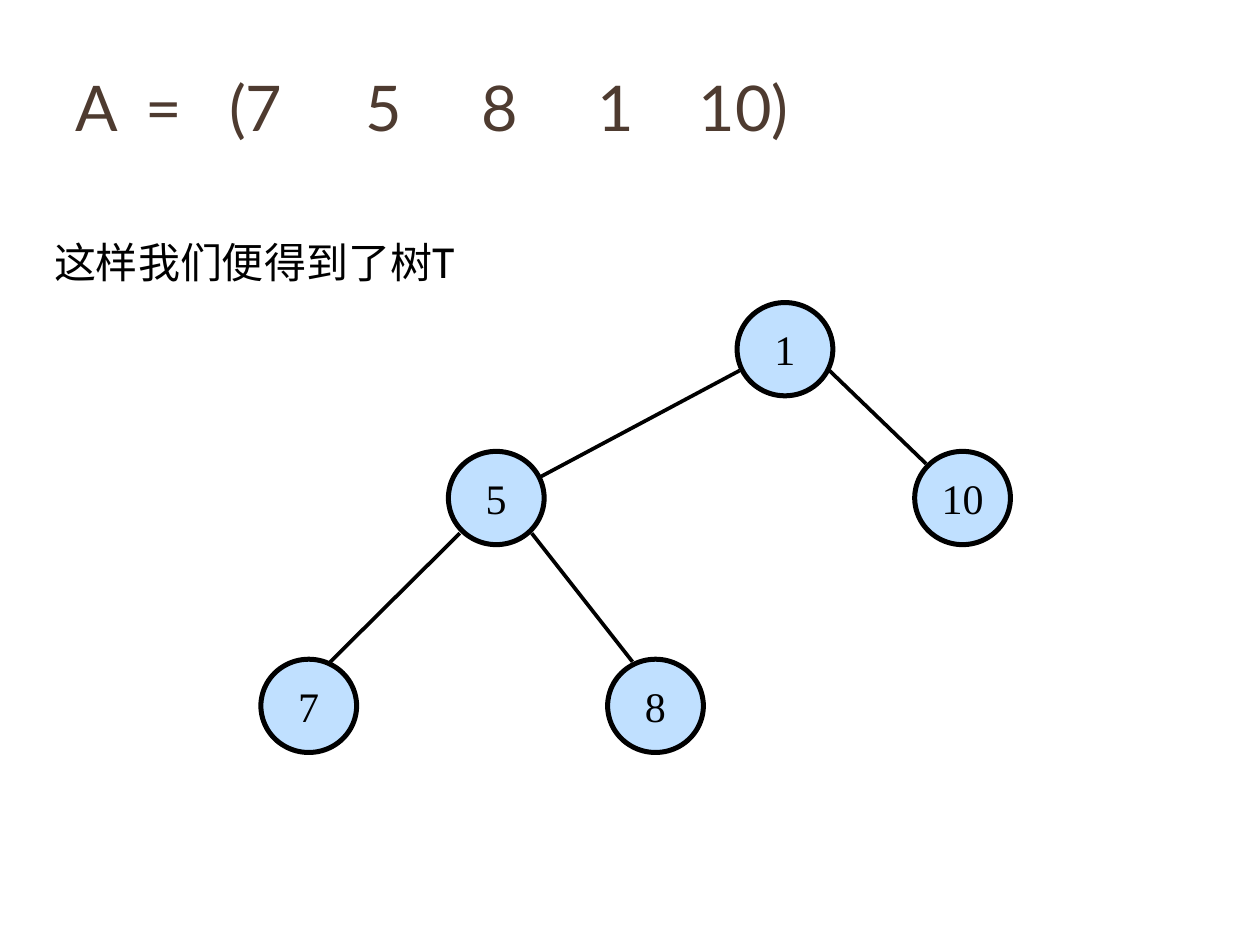
from lxml import etree
from pptx import Presentation
from pptx.dml.color import RGBColor
from pptx.enum.shapes import MSO_CONNECTOR, MSO_SHAPE
from pptx.enum.text import MSO_ANCHOR, PP_ALIGN
from pptx.oxml.ns import qn
from pptx.util import Cm, Pt

ELLIPSE = MSO_SHAPE.OVAL
STRAIGHT = MSO_CONNECTOR.STRAIGHT
MIDDLE, TOP = MSO_ANCHOR.MIDDLE, MSO_ANCHOR.TOP
CENTER = PP_ALIGN.CENTER

COLORS = {"title": "4E3B30", "ink": "000000", "node": "C0E0FF"}
FORMATS = {
    "title": {"name": "Lato", "size": Pt(36)},
    "caption": {"name": "Cabin", "size": Pt(24)},
    "node": {"name": "Times New Roman", "size": Pt(24)},
}
NODE_W, NODE_H = 1.93, 1.88
NODES = {
    "1": (9.6, 0),
    "10": (13.18, 3),
    "5": (3.78, 3),
    "7": (0, 7.19),
    "8": (6.99, 7.19),
}
EDGES = [
    (5.64, 3.51, 9.65, 1.37),
    (11.46, 1.37, 13.41, 3.25),
    (1.4, 7.24, 4.01, 4.65),
    (5.46, 4.65, 7.49, 7.24),
]
TITLE_PARTS = ["A", "=", "(7", "5", "8", "1", "10)"]
TITLE_TABS = [1.42, 3.1, 5.84, 8.18, 10.52, 12.57]


def rgb(key):
    return RGBColor.from_string(COLORS[key])


def add_run(p, text, style, color):
    r = p.add_run()
    r.text = text
    for attr, value in FORMATS[style].items():
        setattr(r.font, attr, value)
    r.font.color.rgb = rgb(color)


def add_text(slide, box, text, style, color, anchor=TOP, tabs=()):
    tf = slide.shapes.add_textbox(*map(Cm, box)).text_frame
    tf.word_wrap = True
    tf.vertical_anchor = anchor
    p = tf.paragraphs[0]
    if tabs:
        tab_list = etree.SubElement(p._p.get_or_add_pPr(), qn("a:tabLst"))
        for pos in tabs:
            etree.SubElement(tab_list, qn("a:tab"), pos=str(Cm(pos)), algn="l")
    add_run(p, text, style, color)


def add_node(slide, x, y, label):
    sp = slide.shapes.add_shape(ELLIPSE, Cm(x), Cm(y), Cm(NODE_W), Cm(NODE_H))
    sp.shadow.inherit = False
    sp.fill.solid()
    sp.fill.fore_color.rgb = rgb("node")
    sp.line.color.rgb = rgb("ink")
    sp.line.width = Pt(2.86)
    tf = sp.text_frame
    frame = dict.fromkeys(
        ("margin_left", "margin_top", "margin_right", "margin_bottom"), 0)
    frame.update(word_wrap=False, vertical_anchor=MIDDLE)
    for attr, value in frame.items():
        setattr(tf, attr, value)
    p = tf.paragraphs[0]
    p.alignment = CENTER
    add_run(p, label, "node", "ink")


def add_edge(slide, x1, y1, x2, y2):
    line = slide.shapes.add_connector(STRAIGHT, Cm(x1), Cm(y1), Cm(x2), Cm(y2))
    line.line.color.rgb = rgb("ink")
    line.line.width = Pt(2.13)
    etree.SubElement(line._element.spPr, qn("a:effectLst"))


def add_tree(slide, left, top):
    for label, (x, y) in NODES.items():
        add_node(slide, left + x, top + y, label)
    for x1, y1, x2, y2 in EDGES:
        add_edge(slide, left + x1, top + y1, left + x2, top + y2)


def main():
    prs = Presentation()
    prs.slide_width, prs.slide_height = Cm(25.4), Cm(19.05)
    slide = prs.slides.add_slide(prs.slide_layouts[6])
    add_text(slide, (1.27, 0.33, 20.96, 3.61), "\t".join(TITLE_PARTS),
             "title", "title", MIDDLE, TITLE_TABS)
    add_tree(slide, 5.26, 6.1)
    add_text(slide, (0.84, 4.65, 11.63, 1.27), "这样我们便得到了树T",
             "caption", "ink")
    prs.save("out.pptx")


if __name__ == "__main__":
    main()
